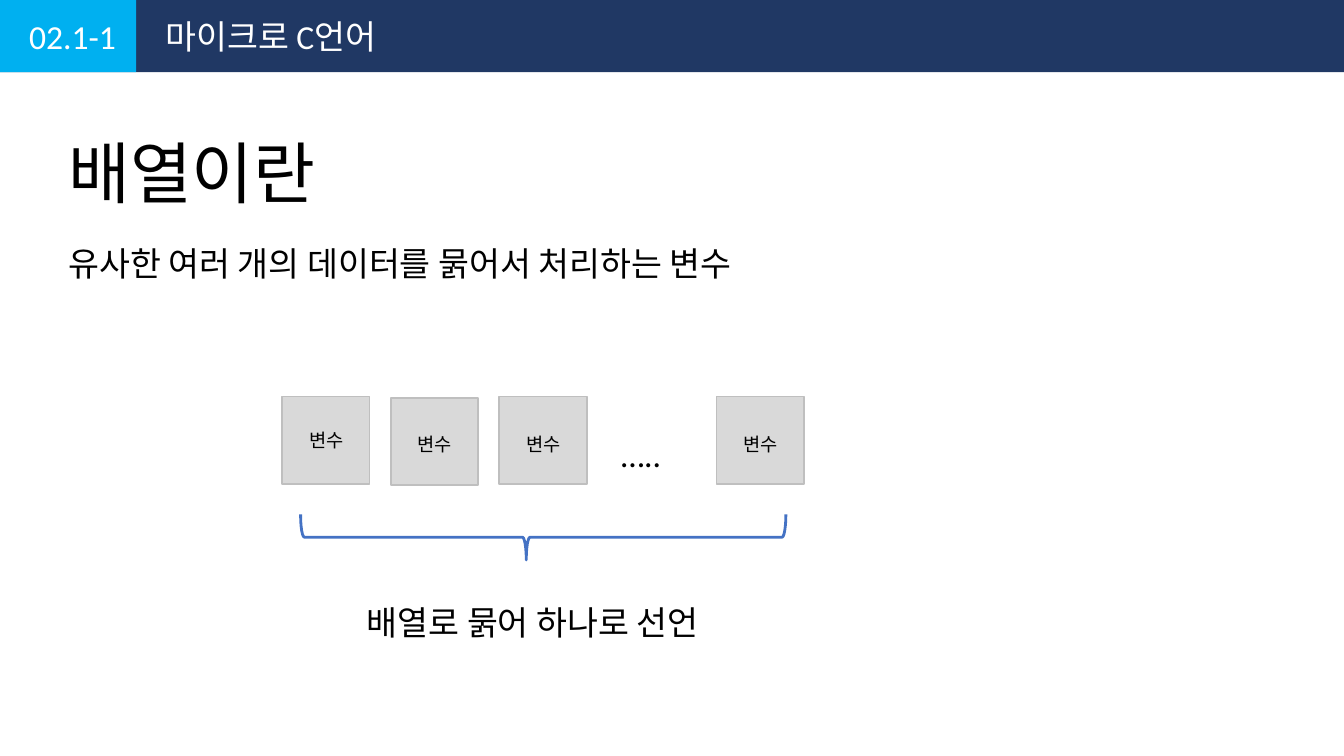
from pptx import Presentation
from pptx.dml.color import RGBColor
from pptx.enum import shapes, text
from pptx.util import Pt


def color(value):
    return RGBColor.from_string(value)


class Deck:
    """Style and current slide; all lengths are in points."""
    FONT = "Calibri"
    NAVY, CYAN, BLUE = "203864", "00B0F0", "4472C4"
    GRAY, EDGE = "D9D9D9", "BFBFBF"
    BLACK, WHITE = "000000", "FFFFFF"

    def __init__(self, prs):
        self.s = prs.slides.add_slide(prs.slide_layouts[6])

    def shape(self, kind, x, y, w, h, fill=None, line=None, weight=1):
        sp = self.s.shapes.add_shape(kind, Pt(x), Pt(y), Pt(w), Pt(h))
        sp.shadow.inherit = False
        if fill:
            sp.fill.solid()
            sp.fill.fore_color.rgb = color(fill)
        else:
            sp.fill.background()
        if line:
            sp.line.color.rgb = color(line)
            sp.line.width = Pt(weight)
        else:
            sp.line.fill.background()
        return sp

    def rect(self, *box, **style):
        return self.shape(shapes.MSO_SHAPE.RECTANGLE, *box, **style)

    def brace_below(self, x, y, w, h, curve, tip):
        # A right brace turned a quarter, so its tip points down
        sp = self.shape(shapes.MSO_SHAPE.RIGHT_BRACE, x + (w - h) / 2,
                        y + (h - w) / 2, h, w, line=self.BLUE, weight=1.5)
        sp.rotation = 90
        sp.adjustments[0] = curve
        sp.adjustments[1] = tip
        return sp

    def label(self, words, x, y, w, h, size=18, ink=BLACK,
              align=text.PP_ALIGN.LEFT):
        sp = self.s.shapes.add_textbox(Pt(x), Pt(y), Pt(w), Pt(h))
        tf = sp.text_frame
        tf.word_wrap = True
        tf.auto_size = text.MSO_AUTO_SIZE.SHAPE_TO_FIT_TEXT
        p = tf.paragraphs[0]
        p.alignment = align
        r = p.add_run()
        r.text = words
        r.font.name = self.FONT
        r.font.size = Pt(size)
        r.font.color.rgb = color(ink)
        return sp


def main():
    prs = Presentation()
    prs.slide_width, prs.slide_height = Pt(720), Pt(405)
    d = Deck(prs)

    # Header band
    d.rect(0, 0, 720, 38.7, fill=d.NAVY)
    d.rect(0, 0, 73, 38.7, fill=d.CYAN)
    d.label("02.1-1", 8.5, 5, 65, 29, ink=d.WHITE)
    d.label("마이크로 C언어", 81.5, 5, 371.5, 29, ink=d.WHITE)

    # Title and definition
    d.label("배열이란", 29.5, 67, 180, 51, size=36)
    d.label("유사한 여러 개의 데이터를 묽어서 처리하는 변수", 29.5, 126.7, 473, 29)

    # Row of variables; the fourth place holds the dots
    left, pitch, side = 151.2, 58.15, 46.8
    cells = [(0, 212.4, 226.1), (1, 213.1, 228.2),
             (2, 212.4, 228.2), (4, 212.4, 228.2)]
    for place, box_top, text_top in cells:
        x = left + place * pitch
        d.rect(x, box_top, side, side, fill=d.GRAY, line=d.EDGE)
        d.label("변수", x + 4.5, text_top, 38.2, 19.4, size=10,
                align=text.PP_ALIGN.CENTER)
    d.label("…..", left + 3 * pitch, 229, 52.5, 29)

    # Brace and its caption
    d.brace_below(161, 275.6, 260, 24.4, curve=0.083, tip=0.535)
    d.label("배열로 묽어 하나로 선언", 189.4, 319, 216.7, 29)

    prs.save("out.pptx")


if __name__ == "__main__":
    main()
